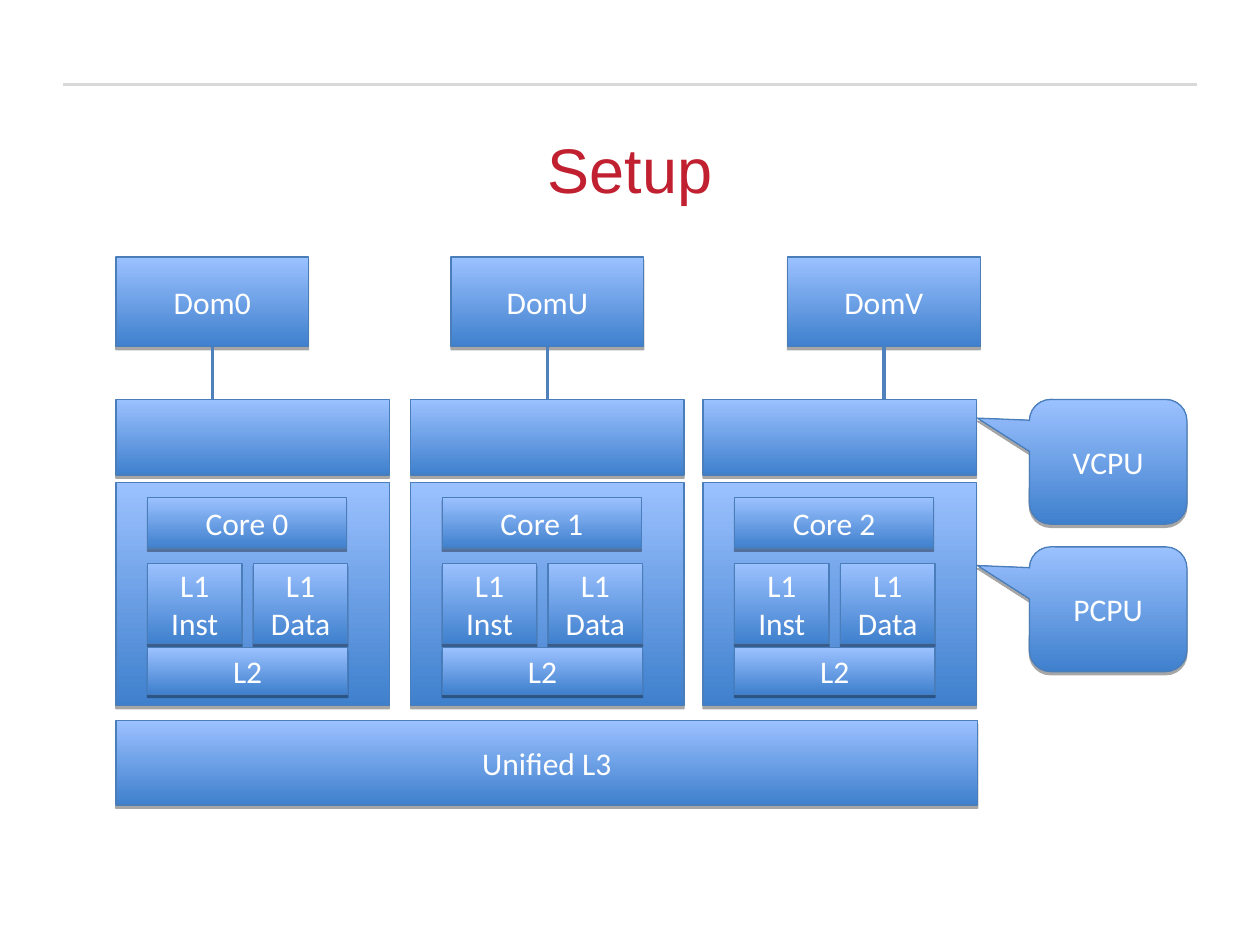
from lxml import etree
from pptx import Presentation
from pptx.dml.color import RGBColor
from pptx.enum.shapes import MSO_CONNECTOR, MSO_SHAPE
from pptx.enum.text import MSO_ANCHOR, PP_ALIGN
from pptx.oxml.ns import qn
from pptx.util import Inches, Pt

RECT = MSO_SHAPE.RECTANGLE
CALLOUT = MSO_SHAPE.ROUNDED_RECTANGULAR_CALLOUT
STRAIGHT = MSO_CONNECTOR.STRAIGHT
MIDDLE = MSO_ANCHOR.MIDDLE
CENTER = PP_ALIGN.CENTER

COLORS = {
    "rule": "D9D9D9",
    "title": "C12030",
    "block_bottom": "3F80CD",
    "block_top": "9BC1FF",
    "outline": "4A7EBB",
    "link": "4F81BD",
    "label": "FFFFFF",
    "shadow": "000000",
}
DOMAINS = [("Dom0", 0.92), ("DomU", 3.58), ("DomV", 6.25)]
CORES = [("Core 0", 0.92), ("Core 1", 3.26), ("Core 2", 5.58)]
CALLOUTS = [("VCPU", 3.17), ("PCPU", 4.34)]
CORE_WIDTH = 2.17


def color(name):
    return RGBColor.from_string(COLORS[name])


def write(frame, text, font, size, shade):
    frame.word_wrap = True
    frame.vertical_anchor = MIDDLE
    paragraph = frame.paragraphs[0]
    paragraph.alignment = CENTER
    run = paragraph.add_run()
    run.text = text
    run.font.name = font
    run.font.size = Pt(size)
    run.font.color.rgb = color(shade)


def add_shadow(block):
    block.shadow.inherit = False
    effects = block._element.spPr.find(qn("a:effectLst"))
    shadow = etree.SubElement(effects, qn("a:outerShdw"), blurRad="0",
                              dist=str(Pt(1.8)), dir="5400000", rotWithShape="0")
    shade = etree.SubElement(shadow, qn("a:srgbClr"), val=COLORS["shadow"])
    etree.SubElement(shade, qn("a:alpha"), val="35000")


def add_block(shapes, x, y, width, height, label="", outline=RECT):
    block = shapes.add_shape(outline, Inches(x), Inches(y), Inches(width), Inches(height))
    block.fill.gradient()
    block.fill.gradient_angle = 90
    stops = block.fill.gradient_stops
    for stop, shade, position in zip(stops, ("block_bottom", "block_top"), (0, 1)):
        stop.color.rgb = color(shade)
        stop.position = position
    block.line.color.rgb = color("outline")
    block.line.width = Pt(0.74)
    add_shadow(block)
    if label:
        write(block.text_frame, label, "Calibri", 18, "label")
    return block


def add_line(shapes, x1, y1, x2, y2, shade):
    line = shapes.add_connector(STRAIGHT, Inches(x1), Inches(y1), Inches(x2), Inches(y2))
    line.line.color.rgb = color(shade)
    line.line.width = Pt(2)
    etree.SubElement(line._element.spPr, qn("a:effectLst"))


def add_header(shapes, x, y, width):
    add_line(shapes, x, y, x + width, y, "rule")
    title = shapes.add_textbox(Inches(x), Inches(y + 0.25), Inches(width), Inches(0.83))
    write(title.text_frame, "Setup", "Arial", 36, "title")


def add_domain(shapes, x, y, name):
    width, height = 1.53, 0.71
    add_block(shapes, x, y, width, height, name)
    middle = x + width / 2
    add_line(shapes, middle, y + height, middle, y + 1.13, "link")


def add_core(shapes, x, y, name):
    core = shapes.add_group_shape().shapes
    add_block(core, x, y, CORE_WIDTH, 1.77)
    left = x + 0.25
    add_block(core, left, y + 0.12, 1.58, 0.4, name)
    for column, cache in enumerate(("L1 Inst", "L1 Data")):
        add_block(core, left + column * 0.84, y + 0.64, 0.75, 0.64, cache)
    add_block(core, left, y + 1.31, 1.59, 0.37, "L2")


def add_callout(shapes, x, y, name):
    callout = add_block(shapes, x, y, 1.25, 0.99, name, CALLOUT)
    for index, value in enumerate((-0.83, -0.35, 0.17)):
        callout.adjustments[index] = value


def build_setup(slide):
    shapes = slide.shapes
    add_header(shapes, 0.5, 0.67, 9)
    for name, x in DOMAINS:
        add_domain(shapes, x, 2.04, name)
    for _, x in CORES:
        add_block(shapes, x, 3.17, CORE_WIDTH, 0.6)
    for name, y in CALLOUTS:
        add_callout(shapes, 8.17, y, name)
    add_block(shapes, 0.92, 5.72, 6.84, 0.67, "Unified L3")
    for name, x in CORES:
        add_core(shapes, x, 3.83, name)


presentation = Presentation()
presentation.slide_width = Inches(10)
presentation.slide_height = Inches(7.5)
build_setup(presentation.slides.add_slide(presentation.slide_layouts[6]))
presentation.save("out.pptx")
